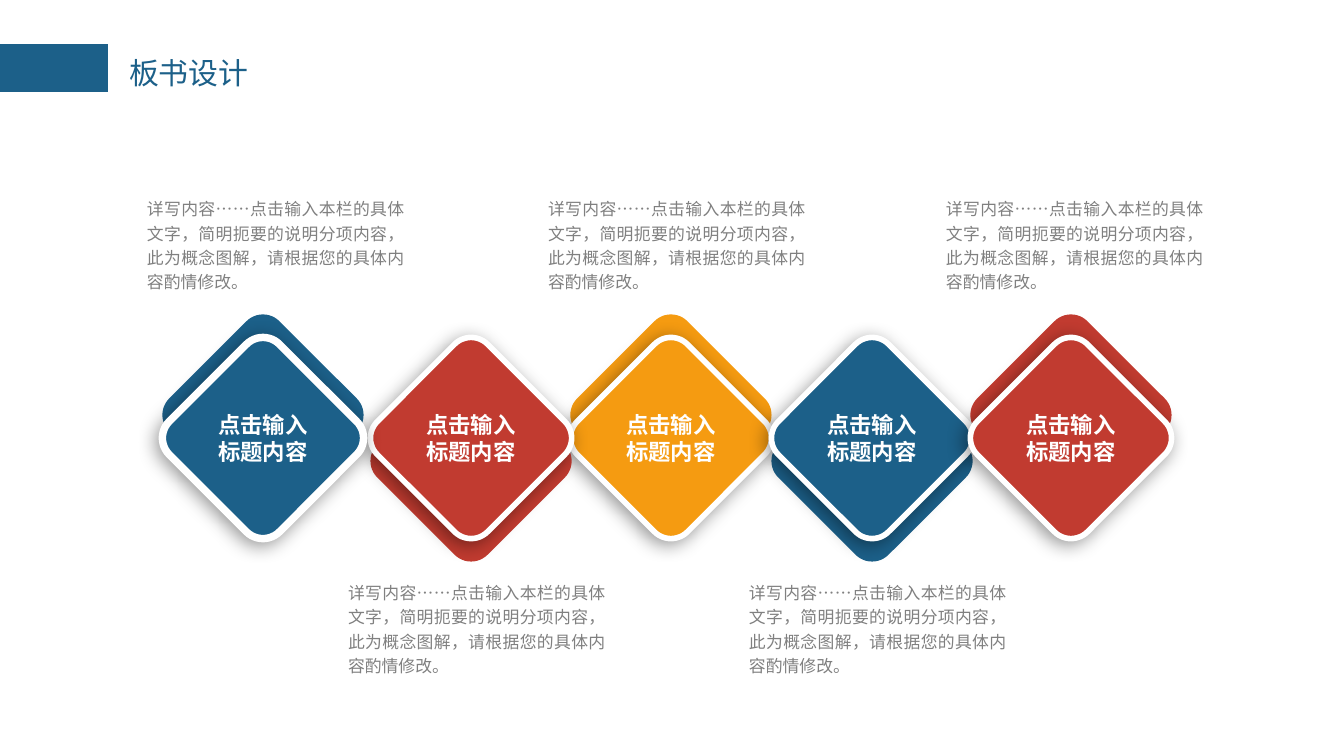
from dataclasses import dataclass

from lxml.etree import SubElement
from pptx import Presentation
from pptx.dml.color import RGBColor
from pptx.enum.shapes import MSO_SHAPE as SHAPE
from pptx.enum.text import MSO_ANCHOR as ANCHOR, MSO_AUTO_SIZE as AUTOSIZE, PP_ALIGN as ALIGN
from pptx.oxml.ns import qn
from pptx.util import Emu, Pt


@dataclass(frozen=True)
class Theme:
    blue: str = "1C6089"
    red: str = "C13B30"
    orange: str = "F59B11"
    gray: str = "808080"
    white: str = "FFFFFF"
    shadow: str = "000000"
    title_font: str = "Calibri"
    body_font: str = "Noto Sans CJK SC"
    title: int = 16
    label: int = 12
    note: int = 9


T = Theme()

TITLE = "板书设计"
LABEL = "点击输入标题内容"
NOTE = "详写内容……点击输入本栏的具体文字，简明扼要的说明分项内容，此为概念图解，请根据您的具体内容酌情修改。"
# colour, centre x of the diamond, left of the note, border in points
ITEMS = [
    (T.blue, 263, 147, 4),
    (T.red, 471, 348, 3),
    (T.orange, 671, 548, 3),
    (T.blue, 872, 749, 3),
    (T.red, 1071, 946, 3),
]

SIDE = 156
CENTER_Y = 438
BACK_SHIFT = 23
LABEL_W, LABEL_H = 133, 30
NOTE_W, NOTE_H = 257, 98
NOTE_TOP, NOTE_BOTTOM = 195, 579


def px(n):
    return Emu(round(n * 914400 / 134.4))


def color(value):
    return RGBColor.from_string(value)


def add_block(shapes, kind, x, y, w, h, fill):
    sp = shapes.add_shape(kind, px(x), px(y), px(w), px(h))
    sp.shadow.inherit = False
    sp.fill.solid()
    sp.fill.fore_color.rgb = color(fill)
    sp.line.fill.background()
    return sp


def add_text(s, text, x, y, w, h, size, fill, font, bold=False, align=ALIGN.LEFT):
    tb = s.shapes.add_textbox(px(x), px(y), px(w), px(h))
    tf = tb.text_frame
    tf.word_wrap = True
    p = tf.paragraphs[0]
    p.alignment = align
    r = p.add_run()
    r.text = text
    r.font.size = Pt(size)
    r.font.bold = bold
    r.font.name = font
    r.font.color.rgb = color(fill)
    SubElement(r.font._element, qn("a:ea"), typeface=font)
    return tf


def add_shadow(sp):
    effects = sp._element.spPr.find(qn("a:effectLst"))
    outer = SubElement(effects, qn("a:outerShdw"), blurRad=str(Pt(10)), dist=str(Pt(3)),
                       dir=str(135 * 60000), algn="ctr")
    clr = SubElement(outer, qn("a:srgbClr"), val=T.shadow)
    SubElement(clr, qn("a:alpha"), val="40000")


def add_diamond(s, fill, cx, border, above):
    """Group a bordered front diamond with a plain one peeking out behind it."""
    group = s.shapes.add_group_shape()
    for shift in (-BACK_SHIFT if above else BACK_SHIFT, 0):
        sp = add_block(group.shapes, SHAPE.ROUNDED_RECTANGLE, cx - SIDE / 2,
                       CENTER_Y - SIDE / 2 + shift, SIDE, SIDE, fill)
        sp.adjustments[0] = 0.15
        sp.rotation = 315 if above else 135
    sp.line.color.rgb = color(T.white)
    sp.line.width = Pt(border)
    add_shadow(sp)


def main():
    prs = Presentation()
    prs.slide_width, prs.slide_height = px(1344), px(756)
    s = prs.slides.add_slide(prs.slide_layouts[6])

    add_block(s.shapes, SHAPE.RECTANGLE, 0, 44, 108, 48, T.blue)
    tf = add_text(s, TITLE, 119, 50, 141, 47, T.title, T.blue, T.title_font)
    tf.word_wrap = False
    tf.auto_size = AUTOSIZE.SHAPE_TO_FIT_TEXT
    tf.margin_left = tf.margin_right = px(10)
    tf.margin_top = tf.margin_bottom = px(5)

    # The middle diamond lies lowest, the outer ones on top.
    middle = len(ITEMS) // 2
    for i in sorted(range(len(ITEMS)), key=lambda i: abs(i - middle)):
        fill, cx, _, border = ITEMS[i]
        add_diamond(s, fill, cx, border, above=i % 2 == 0)

    for _, cx, _, _ in ITEMS:
        tf = add_text(s, LABEL, cx - LABEL_W / 2, CENTER_Y - LABEL_H / 2, LABEL_W, LABEL_H,
                      T.label, T.white, T.body_font, True, ALIGN.CENTER)
        tf.vertical_anchor = ANCHOR.MIDDLE

    for i, (_, _, left, _) in enumerate(ITEMS):
        tf = add_text(s, NOTE, left, NOTE_BOTTOM if i % 2 else NOTE_TOP, NOTE_W, NOTE_H,
                      T.note, T.gray, T.body_font, align=ALIGN.JUSTIFY)
        tf.auto_size = AUTOSIZE.SHAPE_TO_FIT_TEXT
        tf.margin_left = tf.margin_right = tf.margin_top = tf.margin_bottom = 0
        tf.paragraphs[0].line_spacing = 1.2

    prs.save("out.pptx")


if __name__ == "__main__":
    main()
